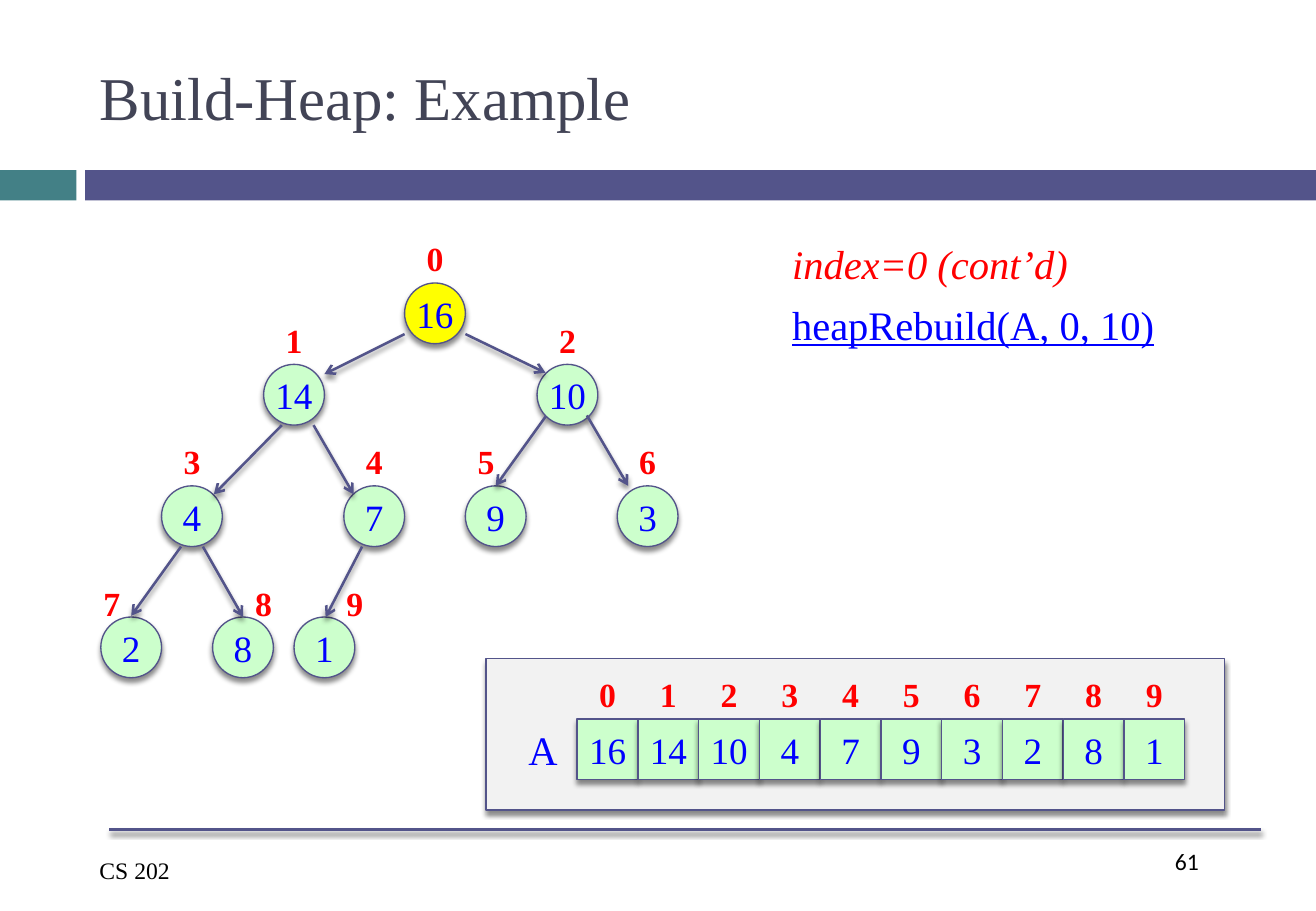
"""Build the Build-Heap example slide with its tree and array."""
from dataclasses import dataclass

from lxml import etree
from pptx import Presentation
from pptx.dml.color import RGBColor
from pptx.enum.shapes import MSO_CONNECTOR, MSO_SHAPE
from pptx.enum.text import MSO_ANCHOR, PP_ALIGN
from pptx.oxml.ns import qn
from pptx.util import Inches, Pt

OVAL, RECT = MSO_SHAPE.OVAL, MSO_SHAPE.RECTANGLE
STRAIGHT = MSO_CONNECTOR.STRAIGHT
LEFT, CENTER = PP_ALIGN.LEFT, PP_ALIGN.CENTER
TOP, MIDDLE = MSO_ANCHOR.TOP, MSO_ANCHOR.MIDDLE

INDIGO = RGBColor(0x53, 0x54, 0x8A)
TEAL = RGBColor(0x43, 0x80, 0x86)
SLATE = RGBColor(0x42, 0x44, 0x56)
GRAY = RGBColor(0xF2, 0xF2, 0xF2)
GREEN = RGBColor(0xCC, 0xFF, 0xCC)
YELLOW = RGBColor(0xFF, 0xFF, 0x00)
BLUE = RGBColor(0x00, 0x00, 0xFF)
RED = RGBColor(0xFF, 0x00, 0x00)
BLACK = RGBColor(0x00, 0x00, 0x00)
SERIF, SANS = "Times New Roman", "Calibri"
SIDE = 0.5


@dataclass
class Font:
    """Look of one run."""
    size: float
    color: RGBColor
    name: str = SERIF
    bold: bool = False
    slant: bool = False
    under: bool = False


@dataclass
class Node:
    """Heap node with the offset of its index label."""
    x: float
    y: float
    key: str
    dx: float = 0.08
    dy: float = -0.42
    fill: RGBColor = GREEN


@dataclass
class Edge:
    """Arrow from parent to child."""
    x1: float
    y1: float
    x2: float
    y2: float


KEY = Font(22, BLUE)
INDEX = Font(20, RED, bold=True)
SMALL = Font(14, BLACK)

NODES = [
    Node(3.33, 2.33, "16", fill=YELLOW),
    Node(2.17, 3, "14"),
    Node(4.42, 3, "10"),
    Node(1.33, 4, "4"),
    Node(2.83, 4, "7"),
    Node(3.83, 4, "9", dx=0),
    Node(5.08, 4, "3"),
    Node(0.83, 5.08, "2", -0.08, -0.33),
    Node(1.75, 5.08, "8", 0.25, -0.33),
    Node(2.42, 5.08, "1", 0.33, -0.33),
]
EDGES = [
    Edge(3.33, 2.75, 2.67, 3.08),
    Edge(3.83, 2.75, 4.49, 3.07),
    Edge(2.32, 3.5, 1.76, 4.07),
    Edge(2.58, 3.5, 2.91, 4.07),
    Edge(4.49, 3.43, 4.08, 4),
    Edge(4.83, 3.42, 5.17, 4),
    Edge(1.49, 4.5, 1.08, 5.07),
    Edge(1.67, 4.5, 2, 5.08),
    Edge(2.98, 4.5, 2.68, 5.08),
]

deck = Presentation()
deck.slide_width, deck.slide_height = Inches(10.83), Inches(7.5)
slide = deck.slides.add_slide(deck.slide_layouts[5])
shapes = slide.shapes


def write(frame, text: str, font: Font, align=LEFT, anchor=TOP, pad: float = 0.1) -> None:
    """Put one formatted run into a text frame."""
    frame.word_wrap = True
    frame.vertical_anchor = anchor
    frame.margin_left = frame.margin_right = Inches(pad)
    frame.margin_top = frame.margin_bottom = Inches(pad / 2)
    line = frame.paragraphs[0]
    line.alignment = align
    run = line.add_run()
    run.text = text
    look = run.font
    look.name, look.size = font.name, Pt(font.size)
    look.bold, look.italic, look.underline = font.bold, font.slant, font.under
    look.color.rgb = font.color


def label(x: float, y: float, w: float, h: float, text: str, font: Font, align=LEFT) -> None:
    """Add a text box."""
    box = shapes.add_textbox(Inches(x), Inches(y), Inches(w), Inches(h))
    write(box.text_frame, text, font, align, pad=0 if align == CENTER else 0.1)


def mark(x: float, y: float, index: int) -> None:
    """Add a red index label."""
    label(x, y + 0.05, 0.34, 0.34, str(index), INDEX, CENTER)


def shade(item) -> None:
    """Give a shape or connector a soft shadow below it."""
    props = item._element.spPr
    for old in props.findall(qn("a:effectLst")):
        props.remove(old)
    group = etree.SubElement(props, qn("a:effectLst"))
    drop = etree.SubElement(group, qn("a:outerShdw"), blurRad=str(Pt(3)),
                            dist=str(Pt(2.4)), dir="5400000", rotWithShape="0")
    tint = etree.SubElement(drop, qn("a:srgbClr"), val="000000")
    etree.SubElement(tint, qn("a:alpha"), val="45000")


def block(kind, x: float, y: float, w: float, h: float, fill: RGBColor, edged: bool = True):
    """Add a filled shape, with outline and shadow if edged."""
    shape = shapes.add_shape(kind, Inches(x), Inches(y), Inches(w), Inches(h))
    shape.shadow.inherit = False
    shape.fill.solid()
    shape.fill.fore_color.rgb = fill
    if edged:
        shape.line.color.rgb = INDIGO
        shape.line.width = Pt(0.79)
        shade(shape)
    else:
        shape.line.fill.background()
    return shape


def cell(kind, x: float, y: float, key: str, fill: RGBColor = GREEN) -> None:
    """Add a key in its circle or square."""
    shape = block(kind, x, y, SIDE, SIDE, fill)
    write(shape.text_frame, key, KEY, CENTER, MIDDLE, 0)


def link(edge: Edge, arrow: bool = True) -> None:
    """Add a line, with an open arrowhead at its end if wanted."""
    line = shapes.add_connector(STRAIGHT, Inches(edge.x1), Inches(edge.y1),
                                Inches(edge.x2), Inches(edge.y2))
    line.line.color.rgb = INDIGO
    line.line.width = Pt(1.5)
    if arrow:
        etree.SubElement(line.line._get_or_add_ln(), qn("a:tailEnd"), type="arrow")
    shade(line)


title = shapes.title
title.left, title.top = Inches(0.72), Inches(0.25)
title.width, title.height = Inches(9.66), Inches(1.08)
write(title.text_frame, "Build-Heap: Example", Font(36, SLATE), anchor=MIDDLE)

block(RECT, 0, 1.4, 0.63, 0.25, TEAL, False)
block(RECT, 0.7, 1.4, 10.13, 0.25, INDIGO, False)
link(Edge(0.9, 6.83, 10.38, 6.83), False)
label(0.72, 7, 1.99, 0.34, "CS 202", SMALL)
label(9.57, 6.92, 0.81, 0.5, "61", Font(14, BLACK, SANS))

block(RECT, 4, 5.42, 6.08, 1.25, GRAY)
label(4.25, 5.92, 0.45, 0.5, "A", Font(24, BLUE))
for i, node in enumerate(NODES):
    cell(OVAL, node.x, node.y, node.key, node.fill)
    left = 4.75 + i * SIDE
    cell(RECT, left, 5.92, node.key)
    mark(left + 0.08, 5.5, i)
for edge in EDGES:
    link(edge)
for i, node in enumerate(NODES):
    mark(node.x + node.dx, node.y + node.dy, i)

label(6.42, 1.92, 3.5, 0.5, "index=0 (cont’d)", Font(24, RED, slant=True))
label(6.42, 2.42, 3.5, 0.5, "heapRebuild(A, 0, 10)", Font(24, BLUE, under=True))

deck.save("out.pptx")
